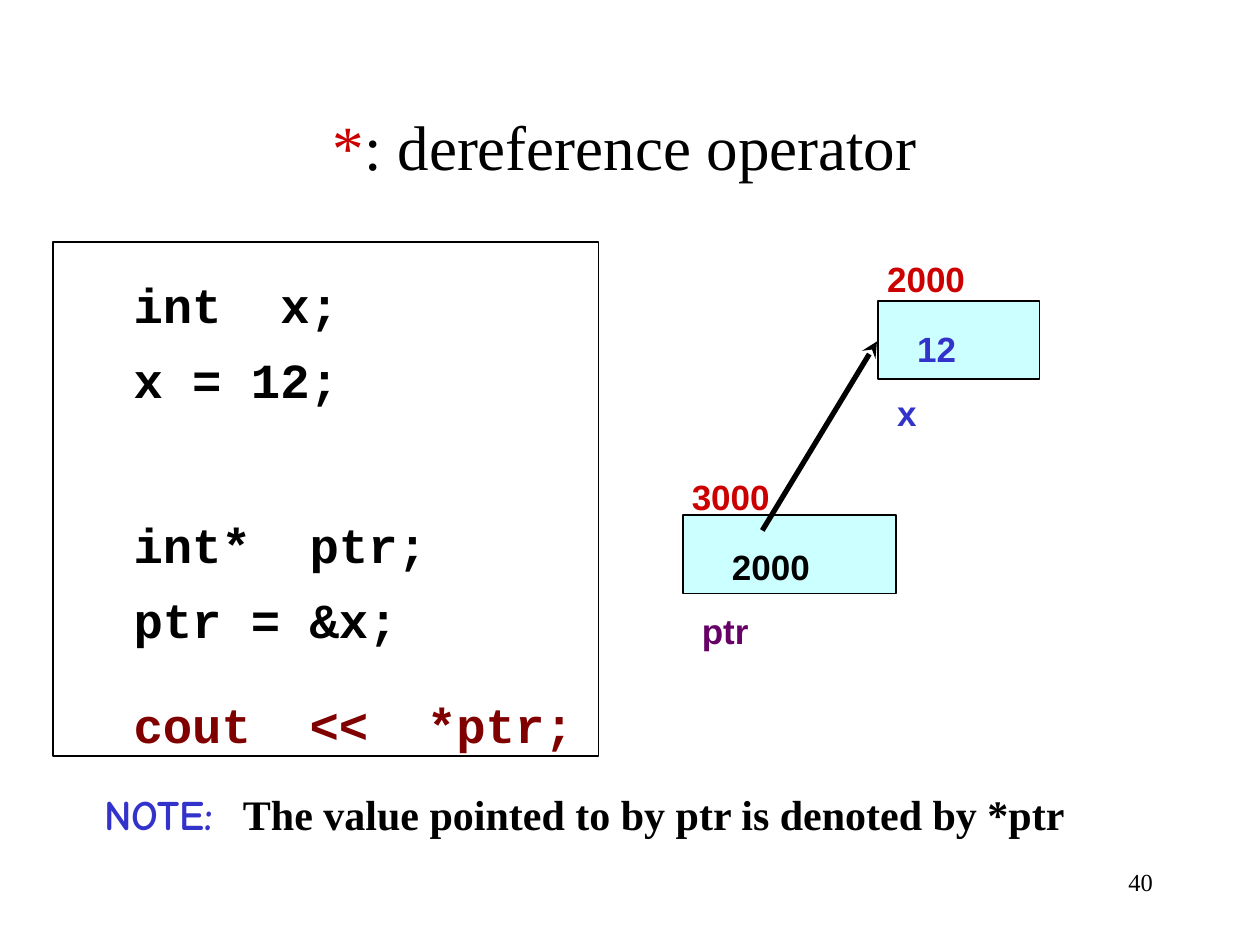
from lxml.etree import SubElement
from pptx import Presentation
from pptx.dml.color import RGBColor
from pptx.enum.shapes import MSO_CONNECTOR, MSO_SHAPE
from pptx.enum.text import MSO_ANCHOR, PP_ALIGN
from pptx.oxml.ns import qn
from pptx.util import Inches, Pt

BLACK, RED, BLUE = "000000", "CC0000", "3333CC"
MAROON, PURPLE, CYAN, WHITE = "800000", "660066", "CCFFFF", "FFFFFF"
SERIF, SANS, MONO, HAND = "Times New Roman", "Arial", "Courier New", "Comic Neue"


def color(value):
    return RGBColor.from_string(value)


def add_text(page, box, paragraphs, font=SERIF, size=20, bold=False,
             align=PP_ALIGN.LEFT, anchor=MSO_ANCHOR.TOP):
    """Each paragraph is (space before in points, spans); a span is (text, colour[, font])."""
    frame = page.shapes.add_textbox(*map(Inches, box)).text_frame
    frame.word_wrap = True
    frame.vertical_anchor = anchor
    frame.margin_left = frame.margin_right = 0
    frame.margin_top = frame.margin_bottom = 0
    for index, (space, spans) in enumerate(paragraphs):
        para = frame.add_paragraph() if index else frame.paragraphs[0]
        para.alignment = align
        para.space_before = Pt(space)
        for text, hue, *own_font in spans:
            span = para.add_run()
            span.text = text
            span.font.name = own_font[0] if own_font else font
            span.font.size = Pt(size)
            span.font.bold = bold
            span.font.color.rgb = color(hue)


def add_rectangle(page, box, fill):
    shape = page.shapes.add_shape(MSO_SHAPE.RECTANGLE, *map(Inches, box))
    shape.shadow.inherit = False
    shape.fill.solid()
    shape.fill.fore_color.rgb = color(fill)
    shape.line.color.rgb = color(BLACK)
    shape.line.width = Pt(1)


def add_title(page, box):
    spans = [("*", RED), (": dereference operator", BLACK)]
    add_text(page, box, [(0, spans)], size=36, align=PP_ALIGN.CENTER,
             anchor=MSO_ANCHOR.BOTTOM)


def add_code(page, box):
    left, top, width, height = box
    add_rectangle(page, box, WHITE)
    lines = [
        (0, "int  x;", BLACK),
        (9, "x = 12;", BLACK),
        (61, "int*  ptr;", BLACK),
        (9, "ptr = &x;", BLACK),
        (26.5, "cout  <<  *ptr;", MAROON),
    ]
    add_text(page, (left + 0.64, top + 0.26, width - 0.64, height - 0.26),
             [(space, [(text, hue)]) for space, text, hue in lines],
             font=MONO, size=28, bold=True)


def add_variable(page, box, address, value, name, indent, drop=0):
    """A memory cell with its address above, value inside and name below."""
    left, top, width, _ = box
    add_rectangle(page, box, CYAN)
    labels = [(0.07, -0.35, address), (indent, 0.21, value), (0.15, 0.72, name)]
    for shift, offset, span in labels:
        add_text(page, (left + shift, top + offset + drop, width - shift, 0.32),
                 [(0, [span])], font=SANS, bold=True)


def add_arrow(page, start, end):
    arrow = page.shapes.add_connector(MSO_CONNECTOR.STRAIGHT, *map(Inches, start + end))
    arrow.line.color.rgb = color(BLACK)
    arrow.line.width = Pt(3)
    SubElement(arrow.line._get_or_add_ln(), qn("a:tailEnd"), type="stealth")
    SubElement(arrow._element.spPr, qn("a:effectLst"))


def add_note(page, box):
    spans = [("NOTE:  ", BLUE, HAND),
             ("The value pointed to by ptr is denoted by *ptr", BLACK)]
    add_text(page, box, [(0, spans)], size=24, bold=True)


def add_page_number(page, box):
    add_text(page, box, [(0, [("40", BLACK)])], size=14, align=PP_ALIGN.RIGHT)


def main():
    deck = Presentation()
    deck.slide_width, deck.slide_height = Inches(10), Inches(7.5)
    page = deck.slides.add_slide(deck.slide_layouts[6])

    add_title(page, (0.67, 0.25, 8.58, 1.2))
    add_code(page, (0.42, 1.92, 4.33, 4.08))

    # Memory diagram: ptr holds the address of x
    add_variable(page, (6.97, 2.39, 1.28, 0.62),
                 ("2000", RED), ("12", BLUE), ("x", BLUE), indent=0.31)
    add_variable(page, (5.42, 4.09, 1.69, 0.62),
                 ("3000", RED), ("2000", BLACK), ("ptr", PURPLE), indent=0.39, drop=0.03)
    add_arrow(page, (6.05, 4.21), (6.96, 2.71))

    add_note(page, (0.83, 6.26, 8.4, 0.45))
    add_page_number(page, (7.27, 6.88, 1.88, 0.4))
    deck.save("out.pptx")


if __name__ == "__main__":
    main()
